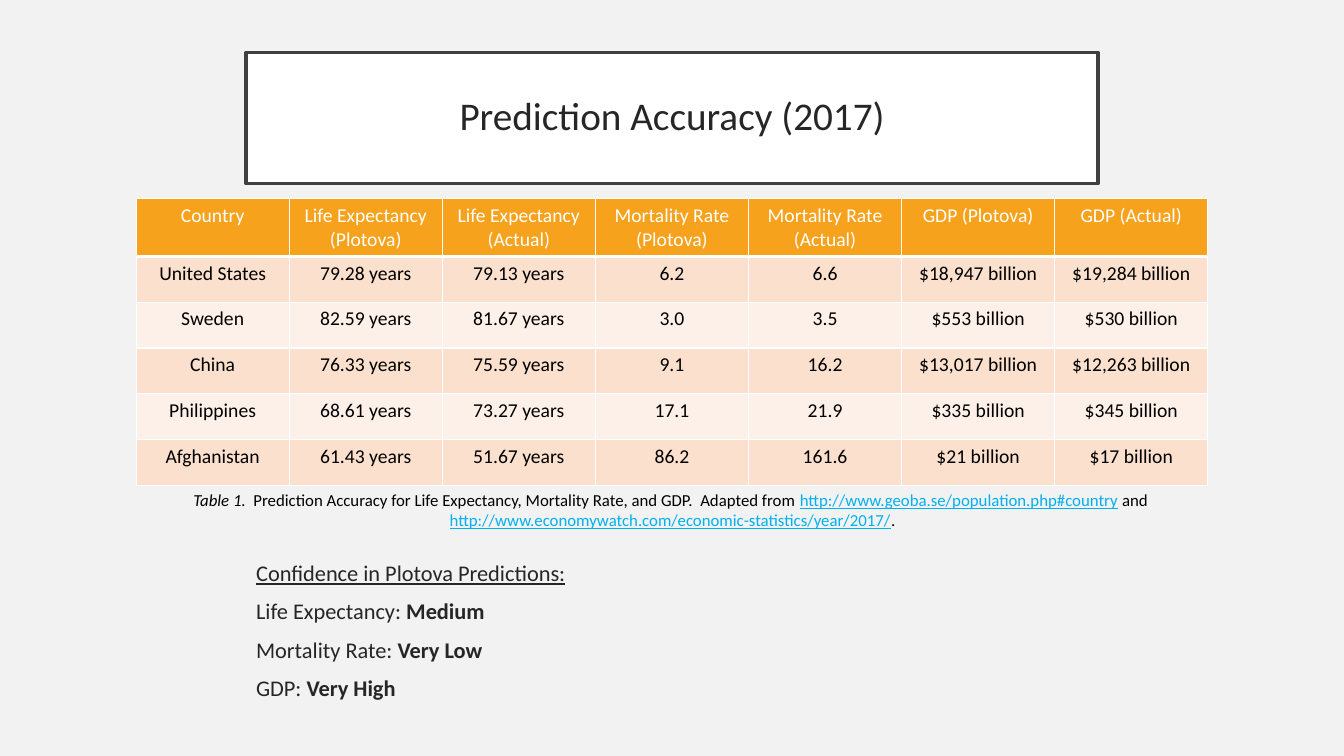
"""Build the Prediction Accuracy (2017) slide with its table, caption and confidence list."""
from dataclasses import dataclass

from lxml.etree import SubElement
from pptx import Presentation
from pptx.dml.color import RGBColor as RGB
from pptx.enum.text import MSO_ANCHOR as Anchor, MSO_AUTO_SIZE as AutoSize, PP_ALIGN as Align
from pptx.oxml.ns import qn
from pptx.util import Inches, Pt


@dataclass(frozen=True)
class Theme:
    font: str = "Calibri"
    page: str = "F2F2F2"
    white: str = "FFFFFF"
    black: str = "000000"
    ink: str = "262626"
    frame: str = "404040"
    header: str = "F6A21D"
    bands: tuple = ("FDF0E8", "FBE0CD")
    link: str = "00B0F0"
    title_size: int = 28
    body_size: int = 16
    table_size: int = 14
    caption_size: int = 12


theme = Theme()


def add_run(p, text, size, color, bold=False, italic=False, underline=False):
    r = p.add_run()
    r.text = text
    r.font.name = theme.font
    r.font.size = Pt(size)
    r.font.color.rgb = RGB.from_string(color)
    r.font.bold = bold
    r.font.italic = italic
    r.font.underline = underline


def add_border(cell, side, width):
    ln = SubElement(cell._tc.get_or_add_tcPr(), qn(f"a:ln{side}"), w=str(Pt(width)))
    SubElement(SubElement(ln, qn("a:solidFill")), qn("a:srgbClr"), val=theme.white)


prs = Presentation()
prs.slide_width, prs.slide_height = Inches(13.33), Inches(7.5)
slide = prs.slides.add_slide(prs.slide_layouts[1])
slide.background.fill.solid()
slide.background.fill.fore_color.rgb = RGB.from_string(theme.page)

title = slide.shapes.title
title.left, title.top, title.width, title.height = map(Inches, (2.44, 0.52, 8.45, 1.3))
title.fill.solid()
title.fill.fore_color.rgb = RGB.from_string(theme.white)
title.line.color.rgb = RGB.from_string(theme.frame)
title.line.width = Pt(2.5)
tf = title.text_frame
tf.auto_size = AutoSize.NONE
tf.vertical_anchor = Anchor.MIDDLE
tf.margin_left = tf.margin_right = tf.margin_top = tf.margin_bottom = Inches(0.2)
p = tf.paragraphs[0]
p.alignment = Align.CENTER
p.line_spacing = 0.9
add_run(p, "Prediction Accuracy (2017)", theme.title_size, theme.ink)

rows = [
    ("Country", "Life Expectancy (Plotova)", "Life Expectancy (Actual)", "Mortality Rate (Plotova)",
     "Mortality Rate (Actual)", "GDP (Plotova)", "GDP (Actual)"),
    ("United States", "79.28 years", "79.13 years", "6.2", "6.6", "$18,947 billion", "$19,284 billion"),
    ("Sweden", "82.59 years", "81.67 years", "3.0", "3.5", "$553 billion", "$530 billion"),
    ("China", "76.33 years", "75.59 years", "9.1", "16.2", "$13,017 billion", "$12,263 billion"),
    ("Philippines", "68.61 years", "73.27 years", "17.1", "21.9", "$335 billion", "$345 billion"),
    ("Afghanistan", "61.43 years", "51.67 years", "86.2", "161.6", "$21 billion", "$17 billion"),
]
table_width, table_height, header_height = 10.63, 2.84, 0.57
table = slide.shapes.add_table(len(rows), len(rows[0]), Inches(1.35), Inches(1.97),
                               Inches(table_width), Inches(table_height)).table
table.first_row = table.horz_banding = False
for col in table.columns:
    col.width = Inches(table_width / len(rows[0]))
for i, values in enumerate(rows):
    is_header = i == 0
    body_height = (table_height - header_height) / (len(rows) - 1)
    table.rows[i].height = Inches(header_height if is_header else body_height)
    for j, value in enumerate(values):
        cell = table.cell(i, j)
        for side, width in (("L", 1), ("R", 1), ("T", 3 if i == 1 else 1), ("B", 3 if is_header else 1)):
            add_border(cell, side, width)
        cell.fill.solid()
        cell.fill.fore_color.rgb = RGB.from_string(theme.header if is_header else theme.bands[i % 2])
        p = cell.text_frame.paragraphs[0]
        p.alignment = Align.CENTER
        add_run(p, value, theme.table_size, theme.white if is_header else theme.black)

caption = slide.shapes.add_textbox(Inches(1.77), Inches(4.81), Inches(9.8), Inches(0.71))
tf = caption.text_frame
tf.word_wrap = True
p = tf.paragraphs[0]
p.alignment = Align.CENTER
add_run(p, "Table 1.  ", theme.caption_size, theme.black, italic=True)
add_run(p, "Prediction Accuracy for Life Expectancy, Mortality Rate, and GDP.  Adapted from ",
        theme.caption_size, theme.black)
add_run(p, "http://www.geoba.se/population.php#country", theme.caption_size, theme.link, underline=True)
add_run(p, " and ", theme.caption_size, theme.black)
p = tf.add_paragraph()
p.alignment = Align.CENTER
add_run(p, "http://www.economywatch.com/economic-statistics/year/2017/",
        theme.caption_size, theme.link, underline=True)
add_run(p, ".", theme.caption_size, theme.black)

body = slide.placeholders[1]
body.left, body.top, body.width, body.height = map(Inches, (2.44, 5.53, 8.45, 1.57))
tf = body.text_frame
tf.auto_size = AutoSize.NONE
confidence = [
    ("Confidence in Plotova Predictions:", ""),
    ("Life Expectancy: ", "Medium"),
    ("Mortality Rate: ", "Very Low"),
    ("GDP: ", "Very High"),
]
for i, (label, level) in enumerate(confidence):
    p = tf.add_paragraph() if i else tf.paragraphs[0]
    p.alignment = Align.LEFT
    p.line_spacing = 0.9
    p.space_before = Pt(10 if i else 0)
    pPr = p._p.get_or_add_pPr()
    pPr.set("marL", "0")
    pPr.set("indent", "0")
    SubElement(pPr, qn("a:buNone"))
    add_run(p, label, theme.body_size, theme.ink, underline=not level)
    if level:
        add_run(p, level, theme.body_size, theme.ink, bold=True)

prs.save("out.pptx")
